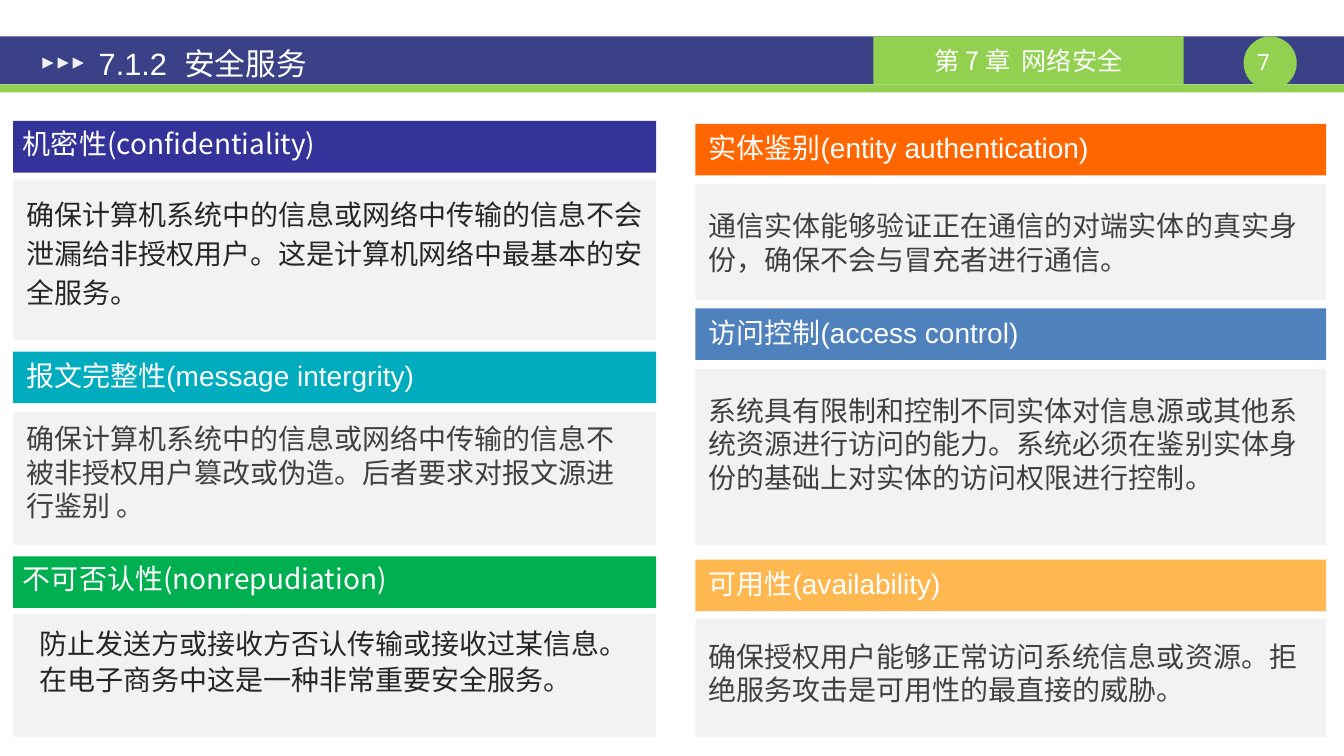
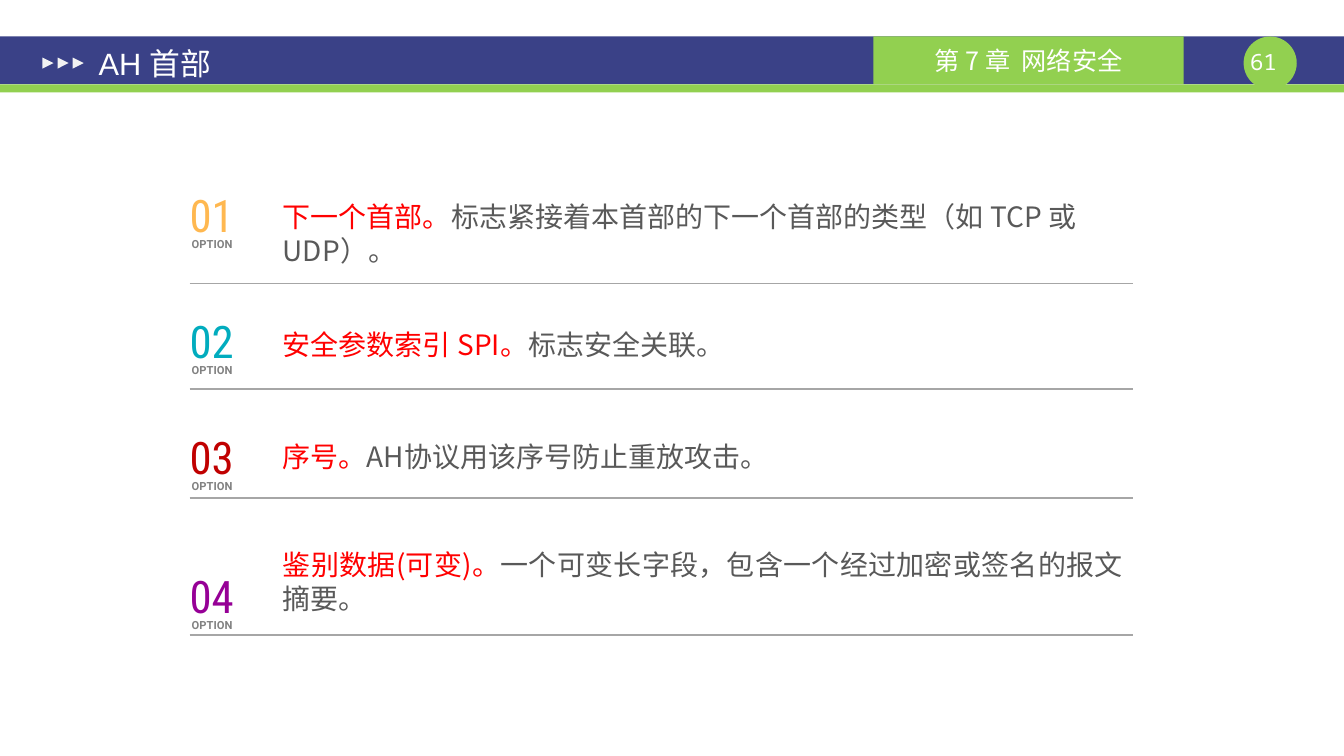
from lxml.etree import Element
from pptx import Presentation
from pptx.dml.color import RGBColor
from pptx.enum.shapes import MSO_CONNECTOR, MSO_SHAPE
from pptx.enum.text import MSO_ANCHOR, PP_ALIGN
from pptx.oxml.ns import qn
from pptx.util import Cm, Pt

# Shared colours and fonts
NAVY = RGBColor(0x3A, 0x41, 0x87)
LIME = RGBColor(0x92, 0xD0, 0x50)
WHITE = RGBColor(0xFF, 0xFF, 0xFF)
PALE = RGBColor(0xF2, 0xF2, 0xF2)
INDIGO = RGBColor(0x33, 0x33, 0x99)
TEAL = RGBColor(0x01, 0xAC, 0xBE)
GREEN = RGBColor(0x00, 0xB0, 0x50)
ORANGE = RGBColor(0xFF, 0x66, 0x00)
BLUE = RGBColor(0x4F, 0x81, 0xBD)
AMBER = RGBColor(0xFF, 0xB8, 0x50)
CRIMSON = RGBColor(0xC0, 0x00, 0x00)
PURPLE = RGBColor(0x96, 0x00, 0x96)
RED = RGBColor(0xFF, 0x00, 0x00)
BLACK = RGBColor(0x26, 0x26, 0x26)
DARK = RGBColor(0x40, 0x40, 0x40)
TEXT_GRAY = RGBColor(0x59, 0x59, 0x59)
LABEL_GRAY = RGBColor(0x81, 0x81, 0x81)
RULE_GRAY = RGBColor(0xA6, 0xA6, 0xA6)
SANS = "Noto Sans CJK SC"
ARIAL = "Arial"
LATO = "Lato"

SLIDE_WIDTH, SLIDE_HEIGHT = 33.88, 19.05
BAND_TOP, BAND_HEIGHT = 0.92, 1.2
CHAPTER = "第 7 章  网络安全"

# Insets in centimetres: left, top, right, bottom
NO_INSETS = (0, 0, 0, 0)
NARROW = (0.25, 0.13, 0.25, 0.13)
WIDE = (0.33, 0.18, 0.33, 0.18)

# Security services: column place, then cards from top to bottom
HEADING_HEIGHT = 1.3
SERVICE_COLUMNS = [
    {"left": 0.33, "width": 16.21, "cards": [
        {"heading": "机密性(confidentiality)", "color": INDIGO, "font": SANS,
         "insets": NARROW, "top": 3.05, "panel": (4.52, 8.56),
         "body": "确保计算机系统中的信息或网络中传输的信息不会泄漏给非授权用户。"
                 "这是计算机网络中最基本的安全服务。",
         "body_insets": (0.33, 0.32, 0.25, 0),
         "body_format": {"name": ARIAL, "color": BLACK}, "spacing": 1.16},
        {"heading": "报文完整性(message intergrity)", "color": TEAL, "font": ARIAL,
         "insets": WIDE, "top": 8.86, "panel": (10.39, 13.74),
         "body": "确保计算机系统中的信息或网络中传输的信息不被非授权用户篡改或伪造。"
                 "后者要求对报文源进行鉴别 。",
         "body_insets": (0.33, 0.23, 0.84, 0),
         "body_format": {"name": LATO, "color": DARK}, "spacing": 1.0},
        {"heading": "不可否认性(nonrepudiation)", "color": GREEN, "font": SANS,
         "insets": NARROW, "top": 14.02, "panel": (15.47, 18.57),
         "body": "防止发送方或接收方否认传输或接收过某信息。"
                 "在电子商务中这是一种非常重要安全服务。",
         "body_insets": (0.66, 0.25, 0.56, 0),
         "body_format": {"name": SANS, "color": BLACK}, "spacing": 1.08},
    ]},
    {"left": 17.53, "width": 15.9, "cards": [
        {"heading": "实体鉴别(entity authentication)", "color": ORANGE, "font": ARIAL,
         "insets": WIDE, "top": 3.12, "panel": (4.65, 7.55),
         "body": "通信实体能够验证正在通信的对端实体的真实身份，确保不会与冒充者进行通信。",
         "body_insets": (0.33, 0.61, 0.33, 0),
         "body_format": {"name": LATO, "color": DARK}, "spacing": 1.0},
        {"heading": "访问控制(access control)", "color": BLUE, "font": ARIAL,
         "insets": WIDE, "top": 7.77, "panel": (9.3, 13.74),
         "body": "系统具有限制和控制不同实体对信息源或其他系统资源进行访问的能力。"
                 "系统必须在鉴别实体身份的基础上对实体的访问权限进行控制。",
         "body_insets": (0.33, 0.61, 0.33, 0),
         "body_format": {"name": LATO, "color": DARK}, "spacing": 1.0},
        {"heading": "可用性(availability)", "color": AMBER, "font": ARIAL,
         "insets": WIDE, "top": 14.1, "panel": (15.6, 18.57),
         "body": "确保授权用户能够正常访问系统信息或资源。"
                 "拒绝服务攻击是可用性的最直接的威胁。",
         "body_insets": (0.33, 0.51, 0.33, 0),
         "body_format": {"name": LATO, "color": DARK}, "spacing": 1.0},
    ]},
]

# Header fields: number colour, number top, text top, rule height, alignment, term, meaning
RULE_LEFT, RULE_RIGHT = 4.78, 28.55
FIELD_TEXT_LEFT = 6.88
HEADER_FIELDS = [
    (AMBER, 4.72, 4.9, 7.14, PP_ALIGN.LEFT, "下一个首部。",
     "标志紧接着本首部的下一个首部的类型（如 TCP 或 UDP）。"),
    (TEAL, 7.9, 8.13, 9.8, PP_ALIGN.JUSTIFY, "安全参数索引 SPI。", "标志安全关联。"),
    (CRIMSON, 10.82, 10.95, 12.55, PP_ALIGN.JUSTIFY, "序号。",
     "AH协议用该序号防止重放攻击。"),
    (PURPLE, 14.33, 13.67, 16.0, PP_ALIGN.JUSTIFY, "鉴别数据(可变)。",
     "一个可变长字段，包含一个经过加密或签名的报文摘要。"),
]


def style_font(run, formats):
    for attribute, value in formats.items():
        if attribute == "color":
            run.font.color.rgb = value
        else:
            setattr(run.font, attribute, value)
    east_asian = Element(qn("a:ea"), typeface=SANS)
    run.font._element.find(qn("a:latin")).addnext(east_asian)


def write(shape, runs, insets=NO_INSETS, align=PP_ALIGN.LEFT,
          anchor=MSO_ANCHOR.TOP, spacing=1.0, wrap=True):
    """Fill a shape with one paragraph of (text, font formats) runs."""
    frame = shape.text_frame
    sides = ("margin_left", "margin_top", "margin_right", "margin_bottom")
    settings = dict(zip(sides, map(Cm, insets)))
    settings.update(word_wrap=wrap, vertical_anchor=anchor)
    for attribute, value in settings.items():
        setattr(frame, attribute, value)
    paragraph = frame.paragraphs[0]
    paragraph.alignment = align
    paragraph.line_spacing = spacing
    for text, formats in runs:
        run = paragraph.add_run()
        run.text = text
        style_font(run, formats)


def add_block(slide, kind, left, top, width, height, color):
    shape = slide.shapes.add_shape(kind, Cm(left), Cm(top), Cm(width), Cm(height))
    shape.shadow.inherit = False
    shape.fill.solid()
    shape.fill.fore_color.rgb = color
    shape.line.fill.background()
    return shape


def add_text(slide, left, top, width, height, runs, **layout):
    box = slide.shapes.add_textbox(Cm(left), Cm(top), Cm(width), Cm(height))
    write(box, runs, **layout)


def add_rule(slide, top):
    rule = slide.shapes.add_connector(
        MSO_CONNECTOR.STRAIGHT, Cm(RULE_LEFT), Cm(top), Cm(RULE_RIGHT), Cm(top))
    rule.line.color.rgb = RULE_GRAY
    rule.line.width = Pt(1)
    rule._element.spPr.append(Element(qn("a:effectLst")))


def add_framed_slide(presentation, title, number):
    """Add a slide with the title band, chapter tab and page number."""
    slide = presentation.slides.add_slide(presentation.slide_layouts[6])
    rectangle = MSO_SHAPE.RECTANGLE
    add_block(slide, rectangle, 0, BAND_TOP, SLIDE_WIDTH, BAND_HEIGHT, NAVY)
    add_block(slide, rectangle, 0, 2.13, SLIDE_WIDTH, 0.2, LIME)
    add_block(slide, MSO_SHAPE.OVAL, 31.35, BAND_TOP, 1.34, 1.34, LIME)
    add_text(slide, 31.18, 1.22, 1.34, 0.69,
             [(number, {"name": "Noto Sans Mono", "size": Pt(16), "color": WHITE})],
             align=PP_ALIGN.CENTER)
    chapter = add_block(slide, rectangle, 22.02, BAND_TOP, 7.82, BAND_HEIGHT, LIME)
    write(chapter, [(CHAPTER, {"name": SANS, "size": Pt(18), "color": WHITE})],
          insets=NARROW, align=PP_ALIGN.CENTER, anchor=MSO_ANCHOR.MIDDLE)
    for index in range(3):
        arrow = add_block(slide, MSO_SHAPE.ISOSCELES_TRIANGLE,
                          1.07 + 0.38 * index, 1.45, 0.28, 0.28, PALE)
        arrow.rotation = 90
    add_text(slide, 2.16, 0.99, 14.81, 1.19,
             [(title, {"name": ARIAL, "size": Pt(22), "color": WHITE})],
             insets=WIDE, anchor=MSO_ANCHOR.MIDDLE)
    return slide


def add_service_card(slide, left, width, card):
    heading = add_block(slide, MSO_SHAPE.RECTANGLE, left, card["top"],
                        width, HEADING_HEIGHT, card["color"])
    heading_format = {"name": card["font"], "size": Pt(20), "color": WHITE}
    write(heading, [(card["heading"], heading_format)], insets=card["insets"])
    top, bottom = card["panel"]
    panel = add_block(slide, MSO_SHAPE.RECTANGLE, left, top, width, bottom - top, PALE)
    body_format = {"size": Pt(20), **card["body_format"]}
    write(panel, [(card["body"], body_format)],
          insets=card["body_insets"], spacing=card["spacing"])


def add_header_field(slide, number, field):
    color, number_top, text_top, rule_top, align, term, meaning = field
    add_rule(slide, rule_top)
    add_text(slide, RULE_LEFT, number_top, 1.24, 1.37,
             [(f"{number:02}", {"name": "Roboto Condensed", "size": Pt(32), "color": color})],
             anchor=MSO_ANCHOR.MIDDLE)
    add_text(slide, 4.55, number_top + 1.13, 1.6, 0.61,
             [("OPTION", {"name": "Roboto", "size": Pt(8), "bold": True,
                          "color": LABEL_GRAY})],
             insets=NARROW, align=PP_ALIGN.CENTER, wrap=False)
    body_format = {"name": SANS, "size": Pt(20)}
    add_text(slide, FIELD_TEXT_LEFT, text_top, RULE_RIGHT - FIELD_TEXT_LEFT,
             rule_top - text_top,
             [(term, {**body_format, "color": RED}),
              (meaning, {**body_format, "color": TEXT_GRAY})],
             insets=NARROW, align=align)


def main():
    presentation = Presentation()
    presentation.slide_width = Cm(SLIDE_WIDTH)
    presentation.slide_height = Cm(SLIDE_HEIGHT)

    # Security services
    services = add_framed_slide(presentation, "7.1.2  安全服务", "7")
    for column in SERVICE_COLUMNS:
        for card in column["cards"]:
            add_service_card(services, column["left"], column["width"], card)

    # Fields of the AH header
    header = add_framed_slide(presentation, "AH 首部", "61")
    for number, field in enumerate(HEADER_FIELDS, start=1):
        add_header_field(header, number, field)

    presentation.save("out.pptx")


if __name__ == "__main__":
    main()
